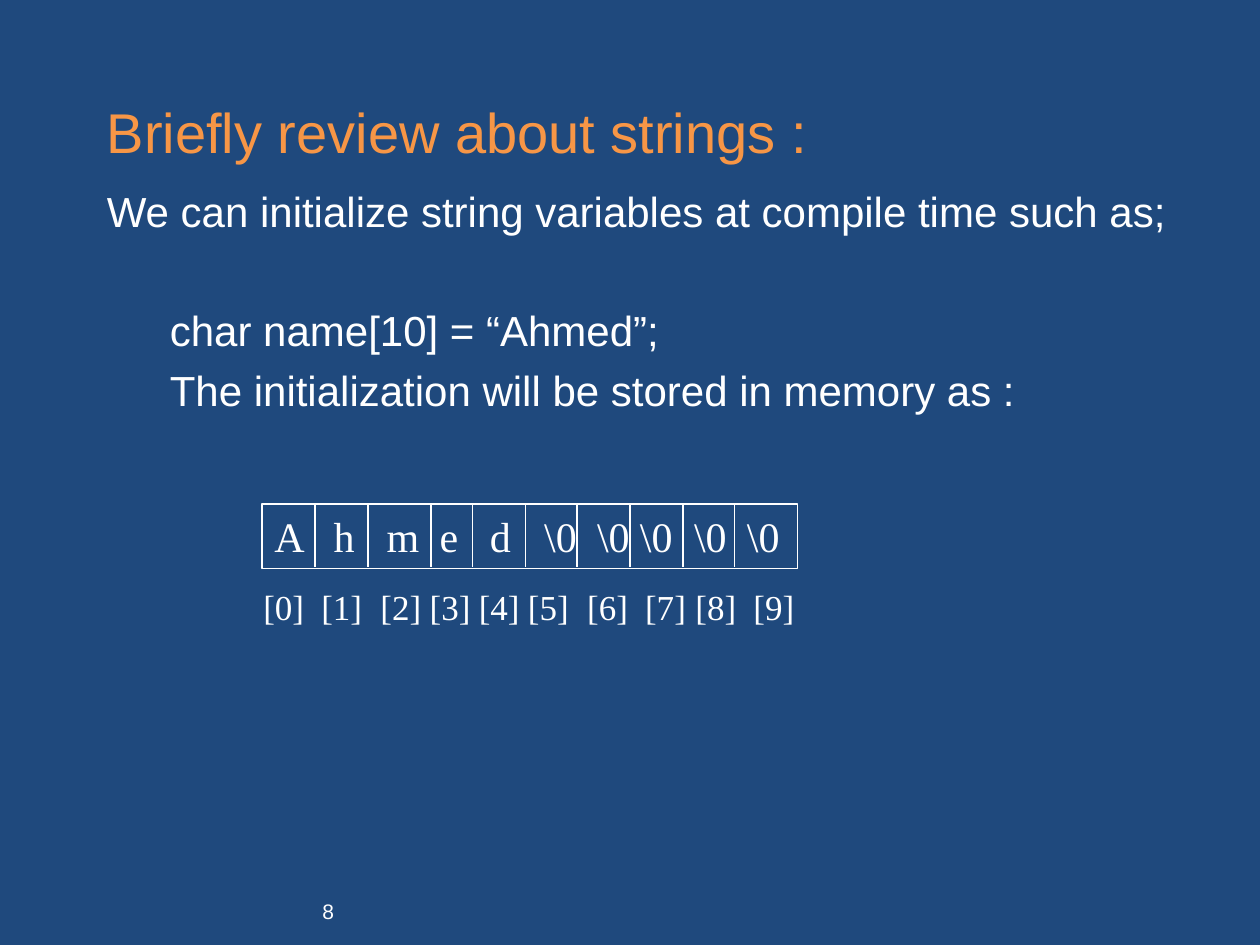
from lxml.etree import SubElement
from pptx import Presentation
from pptx.dml.color import RGBColor
from pptx.enum.shapes import MSO_CONNECTOR, MSO_SHAPE
from pptx.enum.text import MSO_ANCHOR, PP_ALIGN
from pptx.oxml.ns import qn
from pptx.util import Inches, Pt

NAVY = RGBColor(0x1F, 0x49, 0x7D)
ORANGE = RGBColor(0xF7, 0x96, 0x46)
WHITE = RGBColor(0xFF, 0xFF, 0xFF)
SANS, SERIF = "Arial", "Times New Roman"
INSET = 0.1

CHARACTERS = ["A", "h", "m", "e", "d"] + [r"\0"] * 5
CHARACTER_STARTS = [2.18, 2.65, 3.07, 3.49, 3.89, 4.32, 4.74, 5.08, 5.51, 5.93]
INDEX_STARTS = [2.09, 2.55, 3.02, 3.41, 3.8, 4.19, 4.66, 5.12, 5.52, 5.98]
DIVIDERS = [2.5, 2.92, 3.42, 3.75, 4.17, 4.58, 5, 5.42, 5.83]


def style(paragraph, text, size, name=SANS, color=WHITE, align=PP_ALIGN.LEFT):
    paragraph.text = text
    paragraph.alignment = align
    paragraph.font.size = Pt(size)
    paragraph.font.name = name
    paragraph.font.color.rgb = color


def add_box(slide, box):
    """Add a wrapping text box at (left, top, width, height) in inches."""
    shape = slide.shapes.add_textbox(*map(Inches, box))
    shape.text_frame.word_wrap = True
    return shape


def add_title(slide, box, text):
    shape = add_box(slide, box)
    shape.fill.solid()
    shape.fill.fore_color.rgb = NAVY
    shape.text_frame.vertical_anchor = MSO_ANCHOR.MIDDLE
    style(shape.text_frame.paragraphs[0], text, 32, color=ORANGE)


def add_body(slide, box, lines):
    """Each line is (text, indent in inches, space before in points, line spacing)."""
    frame = add_box(slide, box).text_frame
    for number, (text, indent, before, spacing) in enumerate(lines):
        paragraph = frame.add_paragraph() if number else frame.paragraphs[0]
        style(paragraph, text, 24)
        paragraph.space_before = Pt(before)
        paragraph.line_spacing = spacing
        properties = paragraph._p.get_or_add_pPr()
        properties.set("marL", str(Inches(indent)))
        properties.set("indent", "0")


def set_tabbed_row(shape, left, items, starts, size):
    """Write the items on one line, each at its own start across the slide."""
    frame = shape.text_frame
    frame.margin_left = Inches(starts[0] - left)
    frame.margin_right = 0
    paragraph = frame.paragraphs[0]
    style(paragraph, "\t".join(items), size, SERIF)
    properties = paragraph._p.get_or_add_pPr()
    tabs = SubElement(properties, qn("a:tabLst"))
    font_defaults = properties.find(qn("a:defRPr"))
    if font_defaults is not None:
        font_defaults.addprevious(tabs)
    for start in starts[1:]:
        SubElement(tabs, qn("a:tab"), pos=str(Inches(start - starts[0])), algn="l")


def add_memory_row(slide, box):
    left, top, width, height = box
    # Cell frame with the stored characters
    frame = slide.shapes.add_shape(MSO_SHAPE.RECTANGLE, *map(Inches, box))
    frame.shadow.inherit = False
    frame.fill.background()
    frame.line.color.rgb = WHITE
    frame.line.width = Pt(0.75)
    frame.text_frame.vertical_anchor = MSO_ANCHOR.TOP
    set_tabbed_row(frame, left, CHARACTERS, CHARACTER_STARTS, 24)

    # Cell dividers
    for x in DIVIDERS:
        line = slide.shapes.add_connector(
            MSO_CONNECTOR.STRAIGHT, Inches(x), Inches(top), Inches(x), Inches(top + 0.5))
        line.line.color.rgb = WHITE
        line.line.width = Pt(0.75)
        SubElement(line._element.spPr, qn("a:effectLst"))

    # Index labels below the cells
    label_left = left - 0.16
    labels = add_box(slide, (label_left, top + 0.6, 4.83, 0.43))
    indexes = [f"[{index}]" for index in range(len(CHARACTERS))]
    set_tabbed_row(labels, label_left, indexes, INDEX_STARTS, 20)


def add_page_number(slide, box, number):
    frame = add_box(slide, box).text_frame
    style(frame.paragraphs[0], number, 12, align=PP_ALIGN.RIGHT)


def main():
    presentation = Presentation()
    presentation.slide_width, presentation.slide_height = Inches(10), Inches(7.5)
    slide = presentation.slides.add_slide(presentation.slide_layouts[6])
    slide.background.fill.solid()
    slide.background.fill.fore_color.rgb = NAVY

    add_page_number(slide, (0.67, 7.08, 2.08, 0.25), "8")
    add_body(slide, (0.75, 1.5, 8.83, 4.25), [
        ("We can initialize string variables at compile time such as;", 0, 5.8, 0.8),
        ("char name[10] = “Ahmed”;", 0.5, 39.2, 1.0),
        ("The initialization will be stored in memory as :", 0.5, 5.8, 1.0),
    ])
    add_memory_row(slide, (2.08, 4, 4.25, 0.51))
    add_title(slide, (0.75, 0.75, 8.42, 0.58), "Briefly review about strings :")
    presentation.save("out.pptx")


if __name__ == "__main__":
    main()
